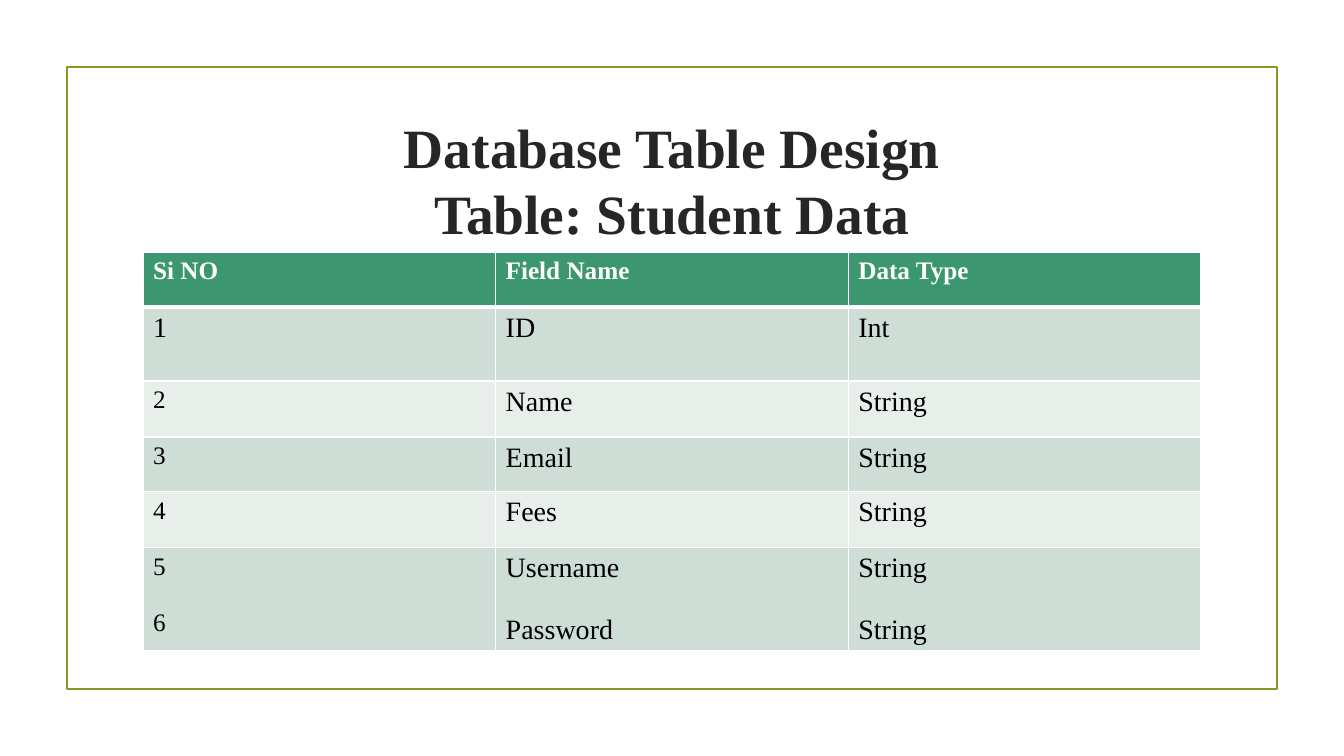
import pptx
import pptx.util
import pptx.dml.color
import pptx.enum.shapes
import pptx.enum.text
import pptx.oxml
import pptx.oxml.ns

PX = 12192000 / 1344
FONT = "Times New Roman"
WHITE = pptx.dml.color.RGBColor(0xFF, 0xFF, 0xFF)
BLACK = pptx.dml.color.RGBColor(0x00, 0x00, 0x00)
CHARCOAL = pptx.dml.color.RGBColor(0x26, 0x26, 0x26)
OLIVE = pptx.dml.color.RGBColor(0x83, 0x99, 0x2A)
GREEN = pptx.dml.color.RGBColor(0x3C, 0x97, 0x70)
BAND_DARK = pptx.dml.color.RGBColor(0xCE, 0xDD, 0xD5)
BAND_LIGHT = pptx.dml.color.RGBColor(0xE8, 0xEF, 0xEB)


def place(*lengths):
    return [pptx.util.Emu(round(length * PX)) for length in lengths]


def write(para, text, size, color, bold=False, align=None, before=0, spacing=None):
    para.text = text
    para.alignment = align
    para.space_before = pptx.util.Pt(before)
    para.line_spacing = spacing
    for span in para.runs:
        span.font.name = FONT
        span.font.size = pptx.util.Pt(size)
        span.font.bold = bold
        span.font.color.rgb = color


deck = pptx.Presentation()
deck.slide_width, deck.slide_height = place(1344, 756)
page = deck.slides.add_slide(deck.slide_layouts[5])

frame = page.shapes.add_shape(
    pptx.enum.shapes.MSO_SHAPE.RECTANGLE, *place(67, 67, 1210, 622)
)
frame.shadow.inherit = False
frame.fill.background()
frame.line.color.rgb = OLIVE
frame.line.width = pptx.util.Pt(1.25)

title = page.shapes.title
title.left, title.top, title.width, title.height = place(143, 108, 1058, 144)
title.text_frame.word_wrap = True
title.text_frame.auto_size = pptx.enum.text.MSO_AUTO_SIZE.NONE
title.text_frame.vertical_anchor = pptx.enum.text.MSO_ANCHOR.MIDDLE
write(
    title.text_frame.paragraphs[0],
    "Database Table Design\vTable: Student Data",
    size=39.6,
    color=CHARCOAL,
    bold=True,
    align=pptx.enum.text.PP_ALIGN.CENTER,
    spacing=pptx.util.Pt(47),
)

fields = [
    ("Si NO", "Field Name", "Data Type"),
    ("1", "ID", "Int"),
    ("2", "Name", "String"),
    ("3", "Email", "String"),
    ("4", "Fees", "String"),
    ("5\n6", "Username\nPassword", "String\nString"),
]
row_heights = [55, 74, 56, 55, 56, 103]

table = page.shapes.add_table(
    len(fields), 3, *place(143, 252, 1058, sum(row_heights))
).table
for column in table.columns:
    column.width = pptx.util.Emu(round(1058 * PX / 3))

for row, values in enumerate(fields):
    table.rows[row].height = place(row_heights[row])[0]
    for column, value in enumerate(values):
        cell = table.cell(row, column)
        header = row == 0
        size = 18 if header or (column == 0 and row > 1) else 20
        cell.fill.solid()
        cell.fill.fore_color.rgb = (
            GREEN if header else BAND_DARK if row % 2 else BAND_LIGHT
        )
        for index, text in enumerate(value.split("\n")):
            box = cell.text_frame
            para = box.add_paragraph() if index else box.paragraphs[0]
            write(
                para,
                text,
                size=size,
                color=WHITE if header else BLACK,
                bold=header,
                before=index * (size + 2),
            )
        properties = cell._tc.get_or_add_tcPr()
        for position, side in enumerate(("lnL", "lnR", "lnT", "lnB")):
            thick = (row, side) in ((0, "lnB"), (1, "lnT"))
            border = pptx.oxml.parse_xml(
                f'<a:{side} {pptx.oxml.ns.nsdecls("a")} '
                f'w="{pptx.util.Pt(3 if thick else 1)}"><a:solidFill>'
                f'<a:srgbClr val="{WHITE}"/></a:solidFill></a:{side}>'
            )
            properties.insert(position, border)

deck.save("out.pptx")
